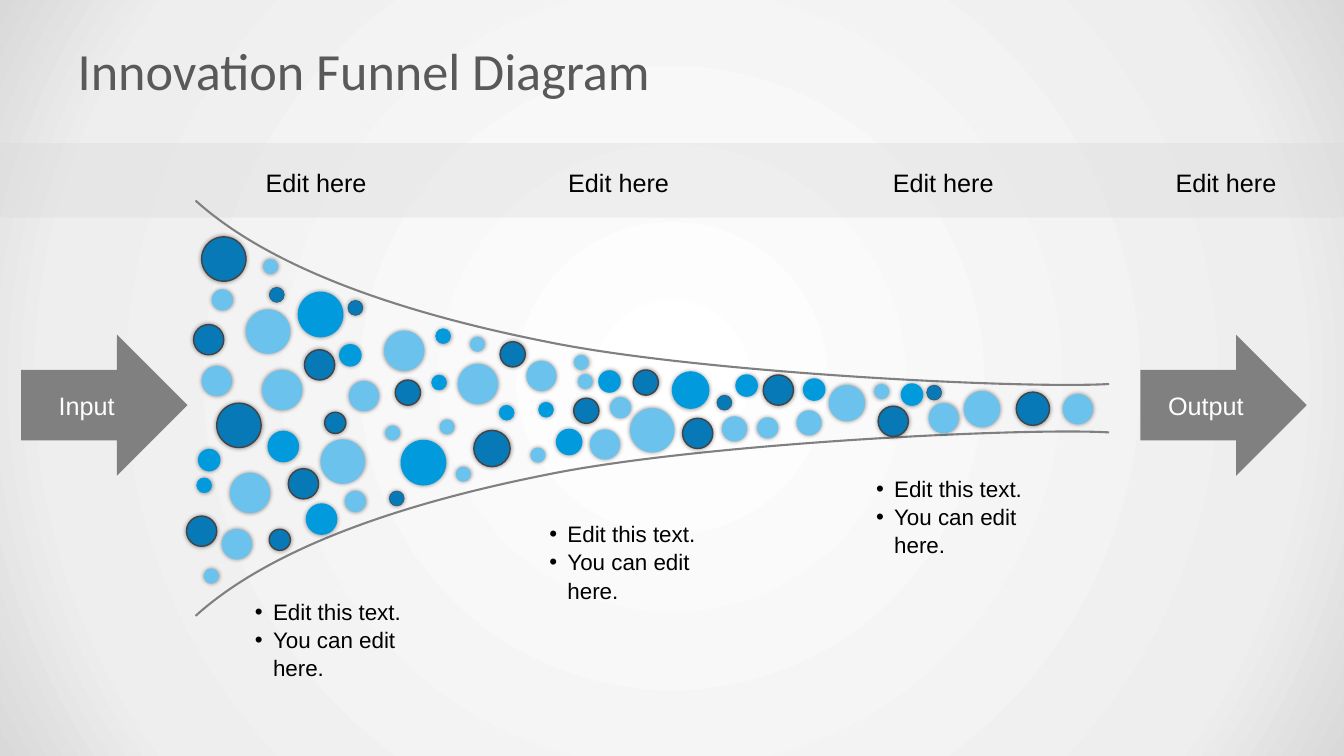
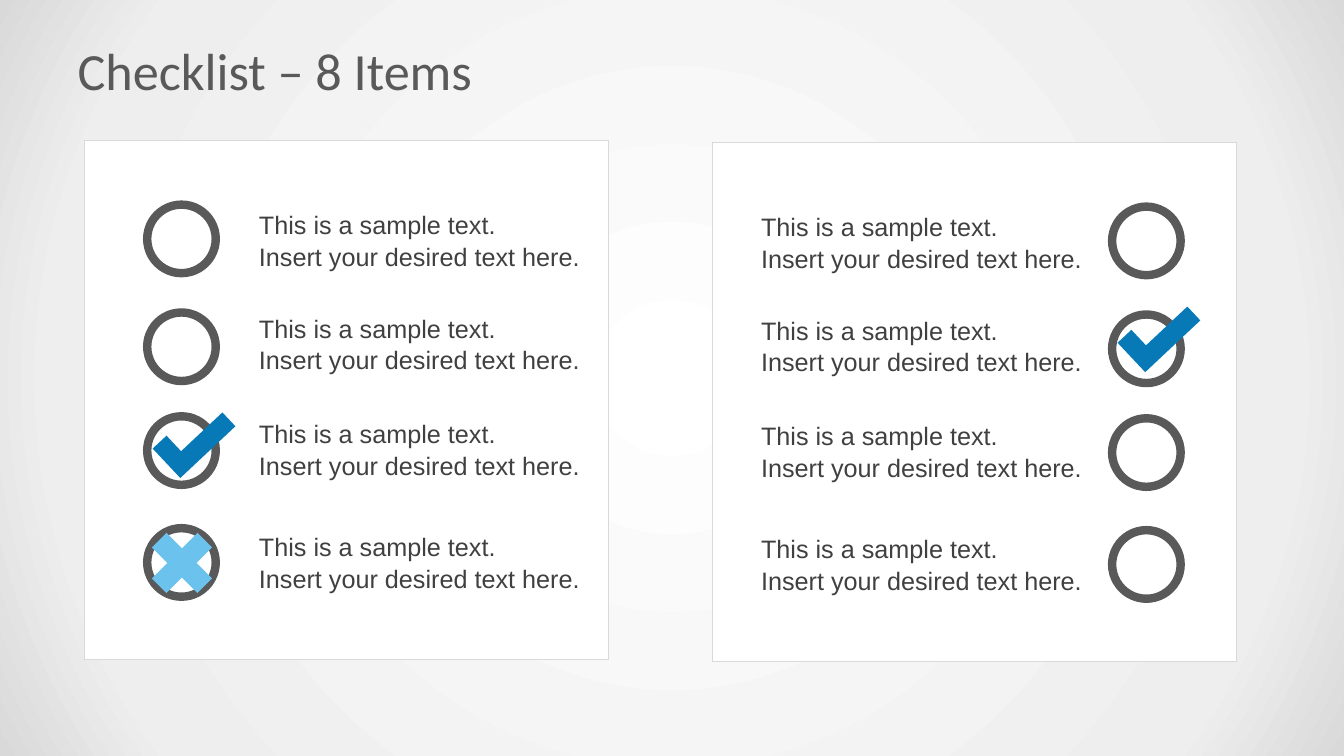
from dataclasses import dataclass

from lxml.etree import SubElement
from pptx import Presentation
from pptx.dml.color import RGBColor
from pptx.enum.shapes import MSO_SHAPE
from pptx.enum.text import MSO_ANCHOR, MSO_AUTO_SIZE, PP_ALIGN
from pptx.oxml import parse_xml
from pptx.oxml.ns import nsdecls, qn
from pptx.util import Inches, Pt


@dataclass(frozen=True)
class Theme:
    light: str = "6BC2ED"
    mid: str = "019ADD"
    dark: str = "0779B7"
    dark_rim: str = "434343"
    white: str = "FFFFFF"
    black: str = "000000"
    mist: str = "EEEEEE"
    silver: str = "D9D9D9"
    gray: str = "808080"
    slate: str = "595959"
    ink: str = "404040"
    title_font: str = "Calibri"
    body_font: str = "Arial"
    title_size: float = 37.3
    body_size: float = 18
    bullet_size: float = 16
    line_spacing: float = 1.05


THEME = Theme()
TITLE_ONLY = 5

# The layout grid has square cells of one inch.
COLUMNS, ROWS = 13.33, 7.5

BAND_TOP, BAND_HEIGHT = 1.42, 0.74
STAGES = [(2.14, 1.99), (5.18, 1.91), (8.41, 1.89), (10.98, 2.36)]
STAGE_NOTES = [(2.43, 5.87), (5.35, 5.1), (8.59, 4.65)]
ARROWS = [("Input", 0.21), ("Output", 11.31)]

FUNNEL_AXIS = 4.05
FUNNEL_EDGE = [(11, 3.81), (10.15, 3.86), (6.93, 3.7), (5.42, 3.39),
               (3.91, 3.09), (2.66, 2.64), (1.94, 1.99)]

# Each tone: fill, rim, then the top left corners of its bubbles by diameter.
BUBBLES = [
    (THEME.light, None, {
        0.44: [(3.18, 4.36), (2.44, 3.07), (6.25, 4.05)],
        0.4: [(2.6, 3.67), (4.54, 3.61), (3.81, 3.28), (2.28, 4.69)],
        0.36: [(8.22, 3.82), (9.56, 3.88)],
        0.3: [(5.22, 3.58), (3.46, 3.78), (2, 3.63), (2.2, 5.25),
              (5.85, 4.26), (9.21, 4), (10.54, 3.91)],
        0.25: [(7.16, 4.13), (7.9, 4.07)],
        0.21: [(3.42, 4.87), (2.1, 2.87), (6.05, 3.94), (7.51, 4.14)],
        0.15: [(4.36, 4.16), (5.26, 4.44), (3.82, 4.22), (4.52, 4.63),
               (4.66, 3.34), (2.61, 2.57), (2.02, 5.64), (5.69, 3.52),
               (5.73, 3.71), (8.67, 3.81)],
    }),
    (THEME.mid, THEME.mid, {
        0.44: [(2.96, 2.9), (3.98, 4.37)],
        0.36: [(6.67, 3.69)],
        0.3: [(2.66, 4.28), (3.04, 5)],
        0.25: [(5.52, 4.26)],
        0.21: [(3.37, 3.42), (1.97, 4.46), (7.3, 3.72), (5.94, 3.68),
               (8.94, 3.81), (7.97, 3.76)],
        0.15: [(5.34, 3.99), (4.32, 3.26), (4.95, 4.02), (4.28, 3.72),
               (1.95, 4.74)],
    }),
    (THEME.dark, THEME.dark_rim, {
        0.44: [(2, 2.35), (2.15, 4)],
        0.36: [(4.7, 4.27)],
        0.33: [(10.08, 3.89)],
        0.3: [(3.02, 3.47), (1.92, 3.22), (2.86, 4.65), (1.85, 5.12),
              (6.77, 4.15), (8.71, 4.03), (7.57, 3.72)],
        0.25: [(3.92, 3.77), (4.96, 3.39), (6.28, 3.67), (5.69, 3.95)],
        0.21: [(3.22, 4.09), (2.67, 5.25)],
        0.15: [(3.86, 4.87), (3.45, 2.98), (2.67, 2.85), (7.11, 3.92),
               (9.19, 3.82)],
    }),
]
SMALLEST_BUBBLE = 0.15

PANEL_WIDTH, PANEL_HEIGHT = 5.19, 5.15
RING = 0.68
# Offsets of ring and text from the panel's top, one pair for each item.
ITEM_ROWS = [(0.64, 0.62), (1.71, 1.65), (2.74, 2.7), (3.85, 3.82)]
SAMPLE_TEXT = "This is a sample text.\nInsert your desired text here."


def cells(*counts):
    return [Inches(count) for count in counts]


def color(hex_code):
    return RGBColor.from_string(hex_code)


def paint_background(master):
    """Give every slide the same radial gradient."""
    master.background.fill.gradient()
    gradient = master.element.xpath(".//p:bgPr/a:gradFill")[0]
    stops = "".join(
        f'<a:gs pos="{share * 1000}"><a:srgbClr val="{tone}"/></a:gs>'
        for share, tone in [(0, THEME.white), (81, THEME.mist), (100, THEME.silver)])
    radial = parse_xml(
        f'<a:gradFill {nsdecls("a")} rotWithShape="1"><a:gsLst>{stops}</a:gsLst>'
        '<a:path path="circle"><a:fillToRect l="50000" t="50000" r="50000" b="50000"/>'
        '</a:path></a:gradFill>')
    gradient.getparent().replace(gradient, radial)


def format_text(frame, text, tone, size, font=THEME.body_font,
                align=PP_ALIGN.LEFT, anchor=MSO_ANCHOR.TOP):
    frame.text = text
    frame.vertical_anchor = anchor
    for paragraph in frame.paragraphs:
        paragraph.alignment = align
        for run in paragraph.runs:
            run.font.name = font
            run.font.size = Pt(size)
            run.font.color.rgb = color(tone)


def add_titled_slide(prs, heading):
    slide = prs.slides.add_slide(prs.slide_layouts[TITLE_ONLY])
    title = slide.shapes.title
    title.left, title.top, title.width, title.height = cells(0.67, 0.3, 12, 0.78)
    format_text(title.text_frame, heading, THEME.slate, THEME.title_size,
                font=THEME.title_font, anchor=MSO_ANCHOR.MIDDLE)
    return slide


def add_figure(slide, kind, box, fill=None, rim=None, rim_width=1):
    figure = slide.shapes.add_shape(kind, *cells(*box))
    figure.shadow.inherit = False
    if fill:
        figure.fill.solid()
        figure.fill.fore_color.rgb = color(fill)
    else:
        figure.fill.background()
    if rim:
        figure.line.color.rgb = color(rim)
        figure.line.width = Pt(rim_width)
    else:
        figure.line.fill.background()
    return figure


def add_text(slide, text, box, tone, size, wrap=True, **style):
    frame = slide.shapes.add_textbox(*cells(*box)).text_frame
    frame.word_wrap = wrap
    format_text(frame, text, tone, size, **style)
    return frame


def add_bullets(slide, text, box):
    frame = add_text(slide, text, box, THEME.black, THEME.bullet_size)
    for paragraph in frame.paragraphs:
        paragraph.line_spacing = THEME.line_spacing
        properties = paragraph._p.get_or_add_pPr()
        properties.set("marL", str(Inches(0.18)))
        properties.set("indent", str(-Inches(0.18)))
        SubElement(properties, qn("a:buFont")).set("typeface", THEME.body_font)
        SubElement(properties, qn("a:buChar")).set("char", "•")


def add_band(slide):
    band = add_figure(slide, MSO_SHAPE.RECTANGLE,
                      (0, BAND_TOP, COLUMNS, BAND_HEIGHT), THEME.silver)
    tone = band._element.spPr.find(qn("a:solidFill"))[0]
    SubElement(tone, qn("a:alpha")).set("val", "36000")


def add_curve(slide, points):
    """Draw a chain of cubic curves: a start, then three points for each curve."""
    start, *rest = [cells(*point) for point in points]
    builder = slide.shapes.build_freeform(*start)
    builder.add_line_segments(rest, close=False)
    curve = builder.convert_to_shape()
    curve.shadow.inherit = False
    curve.fill.background()
    curve.line.color.rgb = color(THEME.gray)
    curve.line.width = Pt(1.5)
    outline = curve._element.xpath(".//a:path")[0]
    segments = outline.findall(qn("a:lnTo"))
    for first in range(0, len(segments), 3):
        cubic = SubElement(outline, qn("a:cubicBezTo"))
        for segment in segments[first:first + 3]:
            cubic.append(segment[0])
            outline.remove(segment)


def add_bubble(slide, left, top, diameter, fill, rim):
    rim_width = 0.25 if diameter == SMALLEST_BUBBLE else 1
    bubble = add_figure(slide, MSO_SHAPE.OVAL, (left, top, diameter, diameter),
                        fill, rim, rim_width)
    effects = bubble._element.spPr.find(qn("a:effectLst"))
    effects.append(parse_xml(
        f'<a:outerShdw {nsdecls("a")} blurRad="{Pt(3)}" dist="0" dir="0" algn="ctr" '
        f'rotWithShape="0"><a:srgbClr val="{THEME.black}"><a:alpha val="40000"/>'
        '</a:srgbClr></a:outerShdw>'))


def add_tick(slide, ring_left, ring_top):
    tick = add_figure(slide, MSO_SHAPE.CORNER,
                      (ring_left + 0.09, ring_top, 0.75, 0.4), THEME.dark)
    tick.adjustments[0] = tick.adjustments[1] = 0.47
    tick.rotation = 316.8


def add_cross(slide, ring_left, ring_top):
    add_figure(slide, MSO_SHAPE.MATH_MULTIPLY,
               (ring_left - 0.09, ring_top - 0.09, 0.87, 0.87), THEME.light)


def add_checklist(slide, left, top, ring_offset, text_offset, marks):
    """Draw a panel of items; marks maps an item to its mark and a vertical nudge."""
    add_figure(slide, MSO_SHAPE.RECTANGLE, (left, top, PANEL_WIDTH, PANEL_HEIGHT),
               THEME.white, THEME.silver, 0.5)
    ring_left = left + ring_offset
    for item, (ring_row, text_row) in enumerate(ITEM_ROWS):
        ring_top = top + ring_row
        add_figure(slide, MSO_SHAPE.OVAL, (ring_left, ring_top, RING, RING),
                   rim=THEME.slate, rim_width=6)
        frame = add_text(slide, SAMPLE_TEXT,
                         (left + text_offset, top + text_row, 3.41, 0.71),
                         THEME.ink, THEME.body_size, wrap=False)
        frame.auto_size = MSO_AUTO_SIZE.SHAPE_TO_FIT_TEXT
        for paragraph in frame.paragraphs:
            paragraph.line_spacing = THEME.line_spacing
        if item in marks:
            add_mark, nudge = marks[item]
            add_mark(slide, ring_left, ring_top + nudge)


def build_funnel(prs):
    slide = add_titled_slide(prs, "Innovation Funnel Diagram")
    centred = {"align": PP_ALIGN.CENTER, "anchor": MSO_ANCHOR.MIDDLE}
    add_band(slide)
    add_curve(slide, FUNNEL_EDGE)
    add_curve(slide, [(x, 2 * FUNNEL_AXIS - y) for x, y in FUNNEL_EDGE])
    for fill, rim, corners_by_diameter in BUBBLES:
        for diameter, corners in corners_by_diameter.items():
            for left, top in corners:
                add_bubble(slide, left, top, diameter, fill, rim)
    for left, width in STAGES:
        add_text(slide, "Edit here", (left, BAND_TOP + 0.02, width, BAND_HEIGHT),
                 THEME.black, THEME.body_size, **centred)
    for left, top in STAGE_NOTES:
        add_bullets(slide, "Edit this text.\nYou can edit here.", (left, top, 1.99, 1.23))
    for label, left in ARROWS:
        arrow = add_figure(slide, MSO_SHAPE.RIGHT_ARROW, (left, 3.32, 1.65, 1.4), THEME.gray)
        format_text(arrow.text_frame, label, THEME.white, THEME.body_size, **centred)


def build_checklists(prs):
    slide = add_titled_slide(prs, "Checklist – 8 Items")
    add_checklist(slide, 7.07, 1.41, ring_offset=3.96, text_offset=0.38,
                  marks={1: (add_tick, -0.03)})
    add_checklist(slide, 0.84, 1.39, ring_offset=0.62, text_offset=1.63,
                  marks={2: (add_tick, 0.01), 3: (add_cross, 0)})


def main():
    prs = Presentation()
    prs.slide_width, prs.slide_height = cells(COLUMNS, ROWS)
    paint_background(prs.slide_master)
    build_funnel(prs)
    build_checklists(prs)
    prs.save("out.pptx")


if __name__ == "__main__":
    main()
